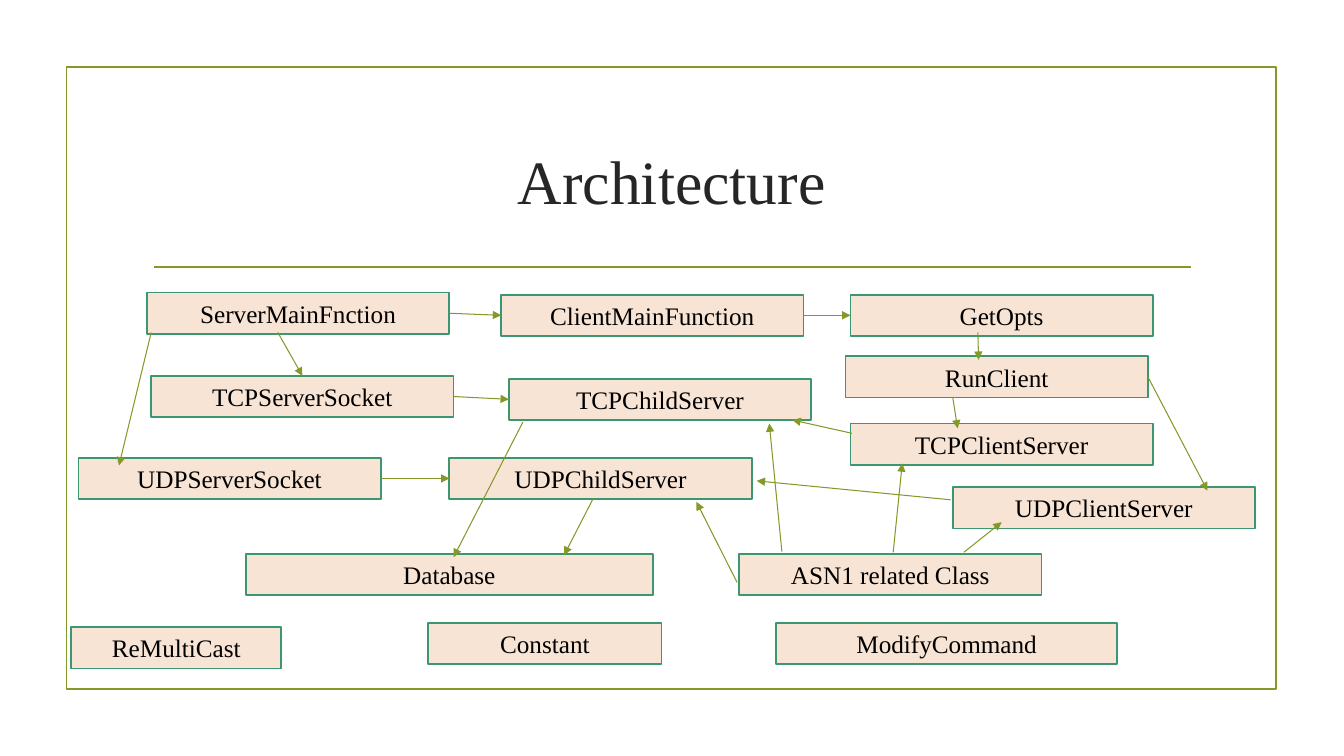
"""Build the Architecture slide: class boxes joined by arrows inside a frame."""
from lxml.etree import SubElement
from pptx import Presentation
from pptx.dml.color import RGBColor
from pptx.enum.shapes import MSO_CONNECTOR, MSO_SHAPE
from pptx.enum.text import MSO_ANCHOR, MSO_AUTO_SIZE, PP_ALIGN
from pptx.oxml.ns import qn
from pptx.util import Pt

COLORS = {"olive": "83992A", "green": "3C9770", "peach": "F7E4D4", "title": "262626", "text": "000000"}
FONT = "Times New Roman"
FRAME_FORMAT = {"margin_left": Pt(3.6), "margin_right": Pt(3.6), "margin_top": Pt(3.6),
                "margin_bottom": Pt(3.6), "word_wrap": True, "vertical_anchor": MSO_ANCHOR.MIDDLE}
BOX_WIDTH, BOX_HEIGHT = 216, 29.5
TOP, LEFT, RIGHT = 0, 1, 3


def write_text(shape, text, size, color):
    text_frame = shape.text_frame
    for name, value in FRAME_FORMAT.items():
        setattr(text_frame, name, value)
    paragraph = text_frame.paragraphs[0]
    paragraph.alignment = PP_ALIGN.CENTER
    run = paragraph.add_run()
    run.text = text
    for name, value in {"name": FONT, "size": Pt(size)}.items():
        setattr(run.font, name, value)
    run.font.color.rgb = RGBColor.from_string(COLORS[color])


def add_line(start, end, width):
    connector = slide.shapes.add_connector(MSO_CONNECTOR.STRAIGHT, *map(Pt, start + end))
    connector.line.color.rgb = RGBColor.from_string(COLORS["olive"])
    connector.line.width = Pt(width)
    SubElement(connector._element.spPr, qn("a:effectLst"))
    return connector


presentation = Presentation()
presentation.slide_width, presentation.slide_height = Pt(960), Pt(540)
slide = presentation.slides.add_slide(presentation.slide_layouts[6])

frame = slide.shapes.add_shape(MSO_SHAPE.RECTANGLE, Pt(47.5), Pt(48), Pt(864), Pt(444))
frame.shadow.inherit = False
frame.fill.background()
frame.line.color.rgb = RGBColor.from_string(COLORS["olive"])
frame.line.width = Pt(1.25)
add_line((110, 190.8), (850.5, 190.8), 1.25)

title = slide.shapes.add_textbox(Pt(102), Pt(77), Pt(756), Pt(103))
write_text(title, "Architecture", 44, "title")

boxes = {}
for name, left, top, width in [
    ("ServerMainFnction", 105, 209, BOX_WIDTH),
    ("ClientMainFunction", 358, 210.5, BOX_WIDTH),
    ("RunClient", 604, 254.5, BOX_WIDTH),
    ("TCPServerSocket", 108, 268.5, BOX_WIDTH),
    ("UDPServerSocket", 56, 327, BOX_WIDTH),
    ("TCPChildServer", 363.5, 270.5, BOX_WIDTH),
    ("UDPChildServer", 321, 327, BOX_WIDTH),
    ("TCPClientServer", 607.5, 302.5, BOX_WIDTH),
    ("UDPClientServer", 680.5, 348, BOX_WIDTH),
    ("Constant", 306, 445, 166.5),
    ("Database", 175.5, 395.5, 291),
    ("GetOpts", 607.5, 210.5, BOX_WIDTH),
    ("ModifyCommand", 554.5, 445, 243.5),
    ("ReMultiCast", 51, 448, 150),
    ("ASN1 related Class", 528, 395.5, BOX_WIDTH),
]:
    box = slide.shapes.add_shape(MSO_SHAPE.RECTANGLE, Pt(left), Pt(top), Pt(width), Pt(BOX_HEIGHT))
    box.shadow.inherit = False
    box.fill.solid()
    box.fill.fore_color.rgb = RGBColor.from_string(COLORS["peach"])
    box.line.color.rgb = RGBColor.from_string(COLORS["green"])
    box.line.width = Pt(1.25)
    write_text(box, name, 18, "text")
    box.text_frame.auto_size = MSO_AUTO_SIZE.SHAPE_TO_FIT_TEXT
    boxes[name] = box

for start, end, source, target in [
    ((322, 226), (357, 228), ("ServerMainFnction", RIGHT), ("ClientMainFunction", LEFT)),
    ((574.5, 224), (610, 225.5), ("ClientMainFunction", RIGHT), ("GetOpts", LEFT)),
    ((698.5, 237.5), (699, 257), None, None),
    ((680.5, 283.5), (684, 306), None, None),
    ((820, 265), (862.5, 350.5), ("RunClient", RIGHT), None),
    ((198.5, 237.5), (217.5, 270), None, ("TCPServerSocket", TOP)),
    ((108, 237.5), (85, 332.5), None, None),
    ((324.5, 284.5), (365, 286), ("TCPServerSocket", RIGHT), ("TCPChildServer", LEFT)),
    ((273, 345.5), (323.5, 344), ("UDPServerSocket", RIGHT), ("UDPChildServer", LEFT)),
    ((373.5, 301.5), (324, 398), None, None),
    ((423.5, 356.5), (403, 396.5), None, None),
    ((638, 394.5), (644.5, 331), None, None),
    ((688.5, 394.5), (715.5, 373), None, None),
    ((608.5, 309.5), (566, 300), None, None),
    ((679, 357), (540.5, 343.5), None, None),
    ((558.5, 394), (549.5, 302.5), None, None),
    ((526.5, 416), (497.5, 358.5), None, None),
]:
    arrow = add_line(start, end, 0.75)
    SubElement(arrow.line._get_or_add_ln(), qn("a:tailEnd"), type="triangle")
    if source:
        arrow.begin_connect(boxes[source[0]], source[1])
    if target:
        arrow.end_connect(boxes[target[0]], target[1])

presentation.save("out.pptx")
